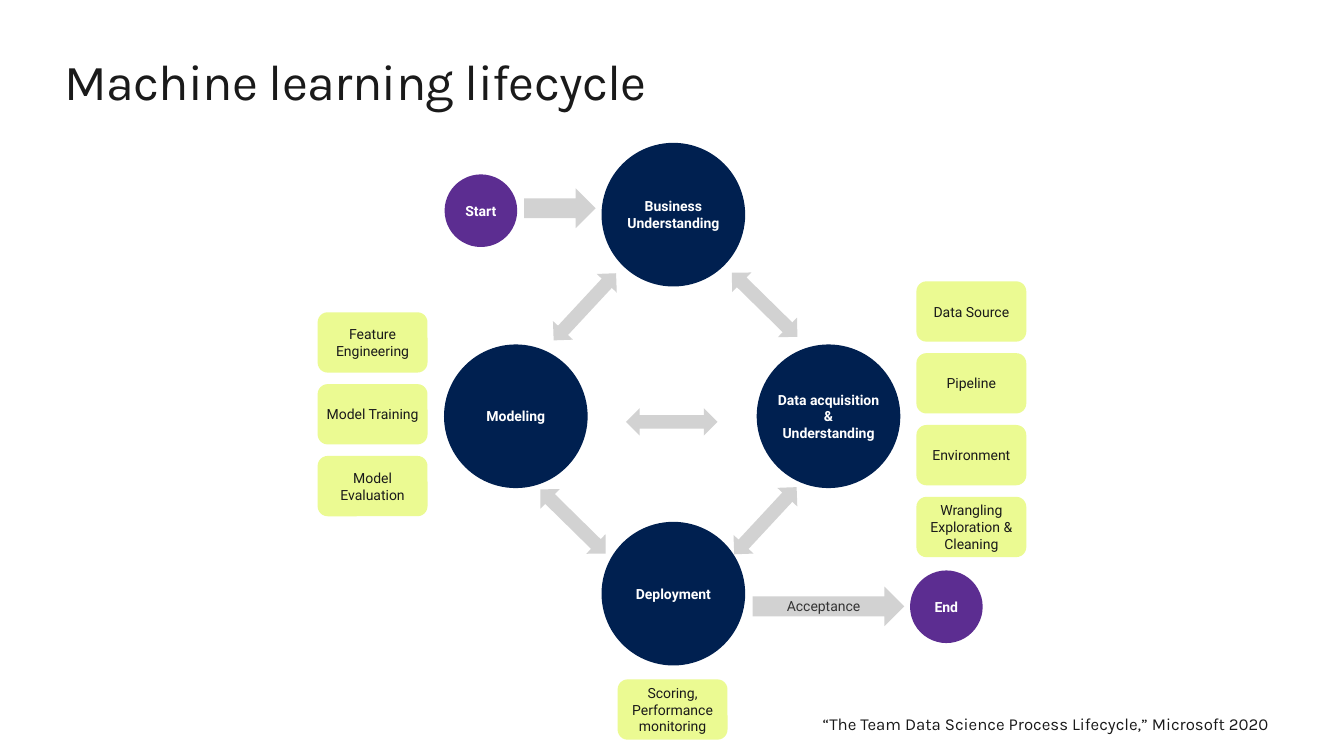
from dataclasses import dataclass

from pptx import Presentation
from pptx import util as u
from pptx.dml import color
from pptx.enum import shapes, text

MS = shapes.MSO_SHAPE
AL = text.PP_ALIGN


@dataclass(frozen=True)
class Theme:
    ink: str = "1A1A1A"
    white: str = "FFFFFF"
    navy: str = "002050"
    purple: str = "5C2D91"
    lime: str = "EBFA92"
    grey: str = "D2D2D2"
    label_ink: str = "343434"
    heading: str = "Karla"
    body: str = "Roboto"
    title_size: int = 36
    source_size: int = 12
    label_size: int = 10


T = Theme()

STAGE = {"kind": MS.OVAL, "size": (3.62, 3.62), "fill": T.navy, "ink": T.white, "bold": True}
TERMINAL = {**STAGE, "size": (1.83, 1.83), "fill": T.purple}
NOTE = {"kind": MS.ROUNDED_RECTANGLE, "size": (2.77, 1.52), "fill": T.lime, "ink": T.ink}
LINK = {"kind": MS.UP_DOWN_ARROW, "size": (0.69, 2.31), "fill": T.grey}
ENTRY = {"kind": MS.RIGHT_ARROW, "size": (1.8, 1), "fill": T.grey}
EXIT = {**ENTRY, "size": (3.82, 1), "ink": T.label_ink}

NOTE_PITCH = 1.81

STAGES = [
    ("Business Understanding", 8.97, 1.81),
    ("Data acquisition & Understanding", 12.88, 6.89),
    ("Modeling", 5, 6.89),
    ("Deployment", 8.97, 11.36),
]
TERMINALS = [("Start", 4.12, 1.71), ("End", 15.85, 11.69)]
NOTE_COLUMNS = [
    (16.48, 4.25, ["Data Source", "Pipeline", "Environment", "Wrangling Exploration & Cleaning"]),
    (1.39, 5.03, ["Feature Engineering", "Model Training", "Model Evaluation"]),
    (8.95, 14.28, ["Scoring,\nPerformance monitoring"]),
]
LINKS = [
    (11.27, 4.08, 314.5),
    (6.44, 9.54, 314.5),
    (6.74, 4.13, 222.9),
    (11.29, 9.52, 222.9),
    (8.93, 7.03, 270),
]


def write(tf, words, align, ink, font, margins):
    frame_format = {"word_wrap": True, "margin_left": margins[0], "margin_right": margins[0],
                    "margin_top": margins[1], "margin_bottom": margins[1]}
    for name, value in frame_format.items():
        setattr(tf, name, value)
    for i, line in enumerate(words.split("\n")):
        p = tf.paragraphs[0] if i == 0 else tf.add_paragraph()
        p.alignment = align
        r = p.add_run()
        r.text = line
        for name, value in font.items():
            setattr(r.font, name, value)
        r.font.color.rgb = color.RGBColor.from_string(ink)


def add_node(s, box, x, y, style, words="", rotation=0):
    w, h = style["size"]
    sp = s.shapes.add_shape(style["kind"], u.Cm(box[0] + x - w / 2),
                            u.Cm(box[1] + y - h / 2), u.Cm(w), u.Cm(h))
    sp.shadow.inherit = False
    sp.rotation = rotation
    sp.fill.solid()
    sp.fill.fore_color.rgb = color.RGBColor.from_string(style["fill"])
    sp.line.fill.background()
    if words:
        sp.text_frame.vertical_anchor = text.MSO_ANCHOR.MIDDLE
        font = {"name": T.body, "size": u.Pt(T.label_size), "bold": style.get("bold", False)}
        write(sp.text_frame, words, AL.CENTER, style["ink"], font, (0, u.Cm(0.13)))


def add_title(s, box, words):
    tf = s.shapes.add_textbox(*map(u.Cm, box)).text_frame
    write(tf, words, AL.LEFT, T.ink,
          {"name": T.heading, "size": u.Pt(T.title_size)}, (0, 0))
    tf.paragraphs[0].runs[0]._r.get_or_add_rPr().set("spc", "-50")


def add_source(s, box, words):
    tf = s.shapes.add_textbox(*map(u.Cm, box)).text_frame
    write(tf, words, AL.RIGHT, T.ink,
          {"name": T.heading, "size": u.Pt(T.source_size)}, (u.Cm(0.25), u.Cm(0.13)))


def add_lifecycle(s, box):
    for style, nodes in ((TERMINAL, TERMINALS), (STAGE, STAGES)):
        for words, x, y in nodes:
            add_node(s, box, x, y, style, words)
    for x, y, notes in NOTE_COLUMNS:
        for i, words in enumerate(notes):
            add_node(s, box, x, y + i * NOTE_PITCH, NOTE, words)
    for x, y, rotation in LINKS:
        add_node(s, box, x, y, LINK, rotation=rotation)
    add_node(s, box, 6.11, 1.65, ENTRY)
    add_node(s, box, 12.88, 11.68, EXIT, "Acceptance")


def main():
    prs = Presentation()
    prs.slide_width, prs.slide_height = u.Cm(33.87), u.Cm(19.05)
    s = prs.slides.add_slide(prs.slide_layouts[6])
    add_title(s, (1.63, 1.27, 30.6, 1.55), "Machine learning lifecycle")
    add_source(s, (1.63, 17.86, 30.6, 0.76),
               "“The Team Data Science Process Lifecycle,” Microsoft 2020")
    add_lifecycle(s, (8, 3.6))
    prs.save("out.pptx")


if __name__ == "__main__":
    main()
